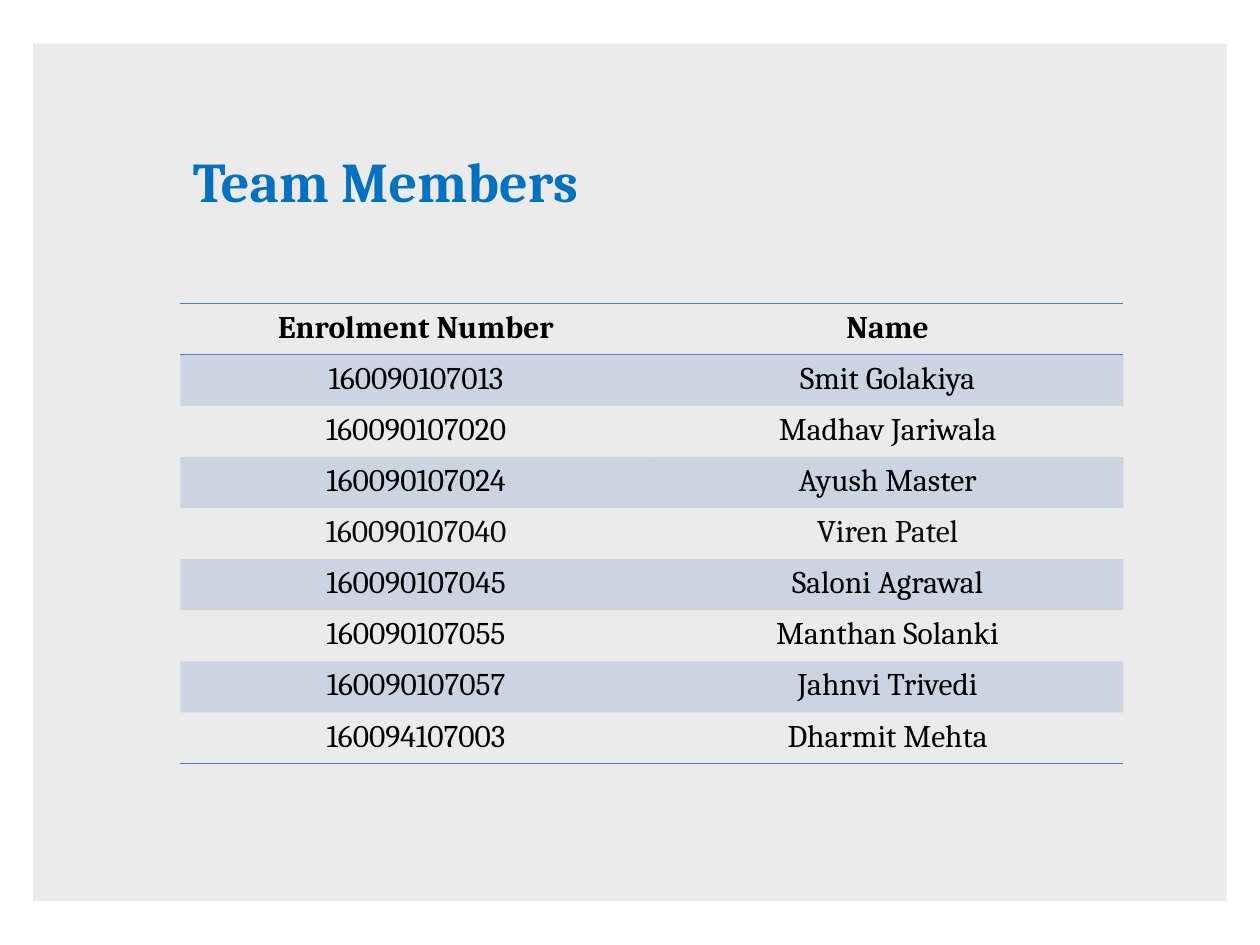
import pptx
import pptx.dml.color
import pptx.enum.shapes
import pptx.enum.text
import pptx.oxml
import pptx.oxml.ns
import pptx.util

Pt = pptx.util.Pt
qn = pptx.oxml.ns.qn

FONT = "Cambria"
COLORS = {
    "panel": "000000",
    "title": "0070C0",
    "text": "000000",
    "soft_text": "0D0D0D",
    "accent": "4F81BD",
}
NO_TABLE_STYLE = "{2D5ABB26-0587-4C30-8999-92F81FD0307C}"
SOFT_ROW = 4
MEMBERS = [
    ("Enrolment Number", "Name"),
    ("160090107013", "Smit Golakiya"),
    ("160090107020", "Madhav Jariwala"),
    ("160090107024", "Ayush Master"),
    ("160090107040", "Viren Patel"),
    ("160090107045", "Saloni Agrawal"),
    ("160090107055", "Manthan Solanki"),
    ("160090107057", "Jahnvi Trivedi"),
    ("160094107003", "Dharmit Mehta"),
]


def rgb(name):
    return pptx.dml.color.RGBColor.from_string(COLORS[name])


def write_text(text_frame, text, size=18, color="text", bold=False, align="CENTER"):
    paragraph = text_frame.paragraphs[0]
    paragraph.alignment = getattr(pptx.enum.text.PP_ALIGN, align)
    run = paragraph.add_run()
    run.text = text
    run.font.name = FONT
    run.font.size = Pt(size)
    run.font.bold = bold
    run.font.color.rgb = rgb(color)


def fill_transparent(fill, properties, color, opacity):
    fill.solid()
    fill.fore_color.rgb = rgb(color)
    color_element = properties.find(qn("a:solidFill")).find(qn("a:srgbClr"))
    alpha = pptx.oxml.parse_xml(
        f'<a:alpha {pptx.oxml.ns.nsdecls("a")} val="{opacity * 1000}"/>'
    )
    color_element.append(alpha)


def add_panel(slide):
    panel = slide.shapes.add_shape(
        pptx.enum.shapes.MSO_SHAPE.RECTANGLE, Pt(19), Pt(25), Pt(682), Pt(490)
    )
    panel.shadow.inherit = False
    panel.line.fill.background()
    fill_transparent(panel.fill, panel.element.spPr, "panel", 8)
    slide.shapes.title.element.addprevious(panel.element)


def format_title(slide, text):
    title = slide.shapes.title
    title.left, title.top, title.width, title.height = Pt(103), Pt(80), Pt(242), Pt(46)
    text_frame = title.text_frame
    text_frame.word_wrap = False
    text_frame.auto_size = pptx.enum.text.MSO_AUTO_SIZE.SHAPE_TO_FIT_TEXT
    text_frame.vertical_anchor = pptx.enum.text.MSO_ANCHOR.TOP
    write_text(text_frame, text, size=32, color="title", bold=True, align="LEFT")


def add_borders(properties, sides):
    for index, side in enumerate(sides):
        border = pptx.oxml.parse_xml(
            f'<a:{side} {pptx.oxml.ns.nsdecls("a")} w="{Pt(1)}"><a:solidFill>'
            f'<a:srgbClr val="{COLORS["accent"]}"/></a:solidFill></a:{side}>'
        )
        properties.insert(index, border)


def add_member_table(slide, members):
    frame = slide.shapes.add_table(
        len(members), 2, Pt(103), Pt(173.5), Pt(539), Pt(29.2 * len(members))
    )
    next(frame.element.iter(qn("a:tableStyleId"))).text = NO_TABLE_STYLE
    borders = {0: ("lnT", "lnB"), len(members) - 1: ("lnB",)}
    for row_index, member in enumerate(members):
        for column_index, text in enumerate(member):
            cell = frame.table.cell(row_index, column_index)
            color = "soft_text" if row_index == SOFT_ROW else "text"
            write_text(cell.text_frame, text, color=color, bold=row_index == 0)
            properties = cell._tc.get_or_add_tcPr()
            if row_index % 2:
                fill_transparent(cell.fill, properties, "accent", 20)
            else:
                cell.fill.background()
            add_borders(properties, borders.get(row_index, ()))


def main():
    presentation = pptx.Presentation()
    presentation.slide_width = Pt(720)
    presentation.slide_height = Pt(540)
    slide = presentation.slides.add_slide(presentation.slide_layouts[5])
    format_title(slide, "Team Members")
    add_panel(slide)
    add_member_table(slide, MEMBERS)
    presentation.save("out.pptx")


if __name__ == "__main__":
    main()
